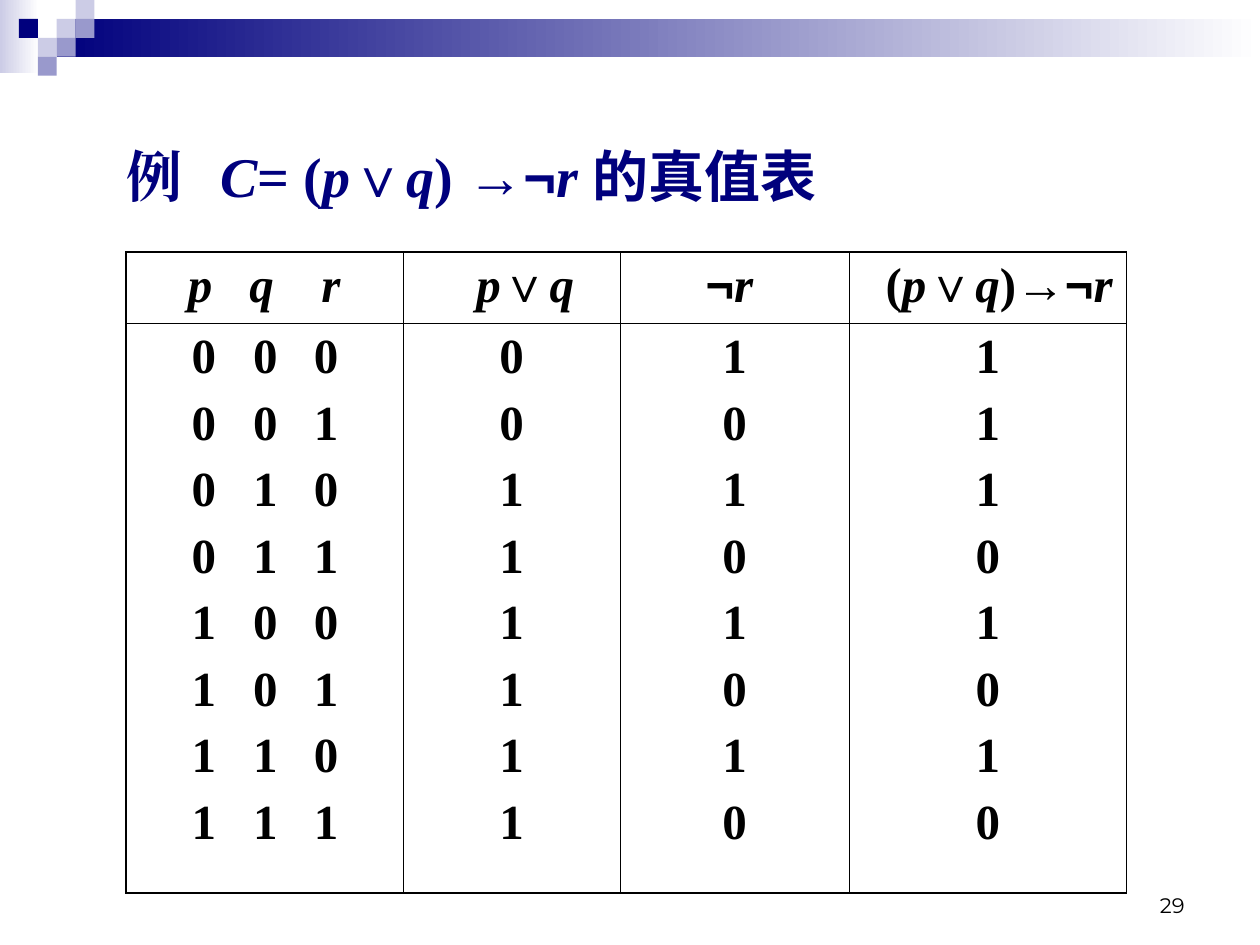
from itertools import groupby, product

from lxml.etree import SubElement
from pptx import Presentation
from pptx.dml.color import RGBColor
from pptx.enum.shapes import MSO_SHAPE as SHAPE
from pptx.enum.text import MSO_ANCHOR as ANCHOR, PP_ALIGN as ALIGN
from pptx.oxml import parse_xml
from pptx.oxml.ns import nsdecls, qn
from pptx.util import Inches, Pt

COLORS = {"navy": "00007D", "violet": "9999CC", "pale": "CCCCE6",
          "white": "FFFFFF", "black": "000000"}
SERIF = "Times New Roman"
SYMBOL_FONTS = {**dict.fromkeys("∨→¬的", "Arial"),
                **dict.fromkeys("真值表", "Noto Sans CJK SC")}
THIN, THICK = 0.45, 1.1


def rgb(name):
    """Return the named colour."""
    return RGBColor.from_string(COLORS[name])


def char_style(char):
    """Return the font and the italic flag of a character in a formula."""
    return SYMBOL_FONTS.get(char, SERIF), char in "Cpqr"


def set_tabs(paragraph, stops):
    """Add left tab stops, given in inches, to a paragraph."""
    tab_list = SubElement(paragraph._p.get_or_add_pPr(), qn("a:tabLst"))
    for stop in stops:
        SubElement(tab_list, qn("a:tab"), pos=str(Inches(stop)), algn="l")


def write(paragraph, text, size=28, color="black", bold=True, font=None,
          align=ALIGN.LEFT, before=0, tabs=(), indent=0):
    """Write text into a paragraph, one run for each stretch of equal style."""
    properties = paragraph._p.get_or_add_pPr()
    if tabs:
        set_tabs(paragraph, tabs)
    if indent:
        properties.set("marL", str(Inches(indent)))
        properties.set("indent", "0")
    paragraph.alignment = align
    paragraph.space_before = Pt(before)
    for (face, italic), chars in groupby(text, char_style):
        run = paragraph.add_run()
        run.text = "".join(chars)
        run.font.size, run.font.bold, run.font.italic = Pt(size), bold, italic
        run.font.color.rgb = rgb(color)
        run.font.name = font or face
        SubElement(run._r.get_or_add_rPr(), qn("a:ea"), typeface=font or face)


def add_block(slide, left, top, width, height, color, fade=False):
    """Add a plain rectangle, fading to white on the right if asked."""
    shape = slide.shapes.add_shape(SHAPE.RECTANGLE, Inches(left), Inches(top),
                                   Inches(width), Inches(height))
    shape.shadow.inherit = False
    shape.line.fill.background()
    if fade:
        shape.fill.gradient()
        shape.fill.gradient_angle = 0
        for stop, name in zip(shape.fill.gradient_stops, (color, "white")):
            stop.color.rgb = rgb(name)
    else:
        shape.fill.solid()
        shape.fill.fore_color.rgb = rgb(color)


def add_banner(slide, left, top, width, unit):
    """Draw the fading bars and the mosaic of squares at the top."""
    add_block(slide, left, top, 0.31, 0.58, "pale", fade=True)
    add_block(slide, left + 3 * unit, top + unit, width - 3 * unit, 2 * unit,
              "navy", fade=True)
    squares = [(3, 1, "pale"), (4, 0, "pale"), (4, 1, "violet"), (2, 2, "pale"),
               (1, 1, "navy"), (3, 2, "violet"), (2, 3, "violet")]
    for column, row, color in squares:
        add_block(slide, left + column * unit, top + row * unit, unit, unit, color)


def add_title(slide, left, top, width, height):
    """Place and fill the title placeholder."""
    title = slide.shapes.title
    title.left, title.top = Inches(left), Inches(top)
    title.width, title.height = Inches(width), Inches(height)
    frame = title.text_frame
    frame.word_wrap, frame.vertical_anchor = True, ANCHOR.TOP
    write(frame.paragraphs[0], "例\tC= (p∨q) →¬r 的真值表", size=32,
          color="navy", tabs=[0.75])


def set_borders(cell, **widths):
    """Draw the black borders L, R, T and B of a cell in the given points."""
    properties = cell._tc.get_or_add_tcPr()
    for index, side in enumerate("LRTB"):
        properties.insert(index, parse_xml(
            f'<a:ln{side} {nsdecls("a")} w="{Pt(widths[side])}"><a:solidFill>'
            f'<a:srgbClr val="{COLORS["black"]}"/></a:solidFill></a:ln{side}>'))


def add_truth_table(slide, left, top, widths, heights):
    """Build the truth table from the values of p, q and r."""
    table = slide.shapes.add_table(
        len(heights), len(widths), Inches(left), Inches(top),
        Inches(sum(widths)), Inches(sum(heights))).table
    table.first_row = table.horz_banding = False
    for column, width in zip(table.columns, widths):
        column.width = Inches(width)
    for row, height in zip(table.rows, heights):
        row.height = Inches(height)

    headers = [("\tp\tq\tr", {"tabs": [0.39, 0.88, 1.45]}),
               ("p∨q", {"indent": 0.48}), ("¬r", {"indent": 0.58}),
               ("(p∨q)→¬r", {"indent": 0.19})]
    values = [(f"\t{p}\t{q}\t{r}", p | q, 1 - r, 1 - (p | q) * r)
              for p, q, r in product((0, 1), repeat=3)]
    last = len(widths) - 1
    for index, (header, layout) in enumerate(headers):
        head, body = table.cell(0, index), table.cell(1, index)
        write(head.text_frame.paragraphs[0], header, **layout)
        body_layout = {"align": ALIGN.CENTER} if index else {"tabs": [0.42, 0.91, 1.39]}
        for number, row in enumerate(values):
            frame = body.text_frame
            paragraph = frame.add_paragraph() if number else frame.paragraphs[0]
            write(paragraph, str(row[index]), before=7 if number else 0,
                  **body_layout)
        sides = {"L": THIN if index else THICK,
                 "R": THICK if index == last else THIN}
        for cell, above, below in ((head, THICK, THIN), (body, THIN, THICK)):
            cell.fill.background()
            set_borders(cell, T=above, B=below, **sides)


def add_page_number(slide, left, top, width, height):
    """Write the page number at the lower right."""
    frame = slide.shapes.add_textbox(Inches(left), Inches(top), Inches(width),
                                     Inches(height)).text_frame
    frame.word_wrap, frame.vertical_anchor = True, ANCHOR.BOTTOM
    write(frame.paragraphs[0], "29", size=12, bold=False, font="Montserrat",
          align=ALIGN.RIGHT)


def main():
    """Build and save the slide."""
    presentation = Presentation()
    presentation.slide_width, presentation.slide_height = Inches(10), Inches(7.5)
    slide = presentation.slides.add_slide(presentation.slide_layouts[5])
    add_banner(slide, 0, 0, 10, 0.15)
    add_page_number(slide, 7.17, 6.83, 2.33, 0.5)
    add_title(slide, 0.9, 1.07, 8.35, 0.64)
    add_truth_table(slide, 1, 2, [2.2, 1.72, 1.82, 2.2], [0.57, 4.52])
    presentation.save("out.pptx")


if __name__ == "__main__":
    main()
